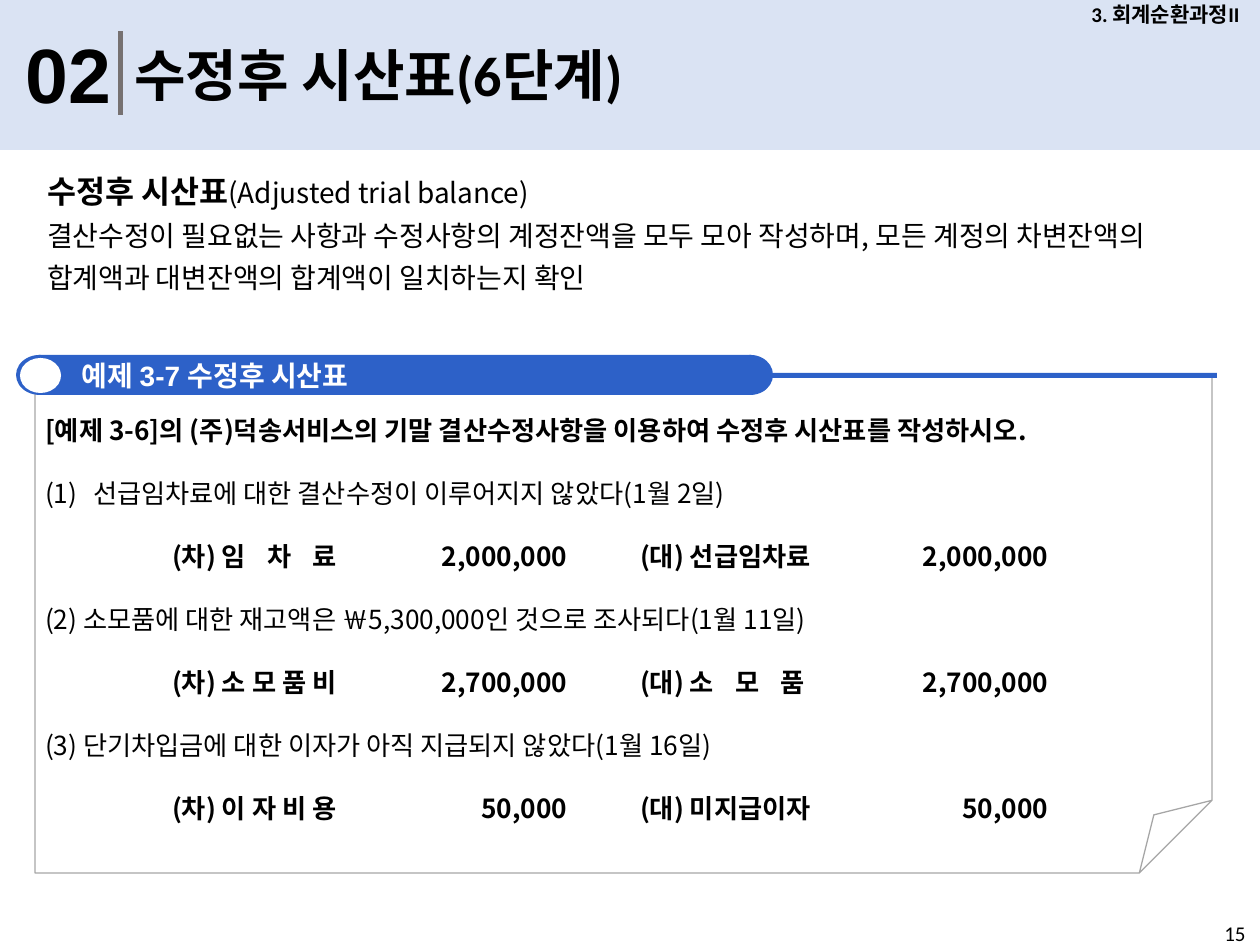
from lxml.etree import SubElement
from pptx import Presentation
from pptx.dml.color import RGBColor
from pptx.enum.shapes import MSO_SHAPE as Shape
from pptx.enum.text import MSO_ANCHOR as Anchor, PP_ALIGN as Align
from pptx.oxml.ns import qn
from pptx.util import Pt

SCALE = 914400 / 126
BLACK = RGBColor(0x00, 0x00, 0x00)
WHITE = RGBColor(0xFF, 0xFF, 0xFF)
PALE_BLUE = RGBColor(0xDA, 0xE3, 0xF3)
BLUE = RGBColor(0x2D, 0x61, 0xC8)
BAR_GRAY = RGBColor(0x76, 0x71, 0x71)
EDGE_GRAY = RGBColor(0xA6, 0xA6, 0xA6)
KOREAN = "Noto Sans CJK KR"


def emu(*lengths):
    return [round(length * SCALE) for length in lengths]


def add_span(para, text, size, name=KOREAN, bold=False, color=BLACK, spread=0):
    span = para.add_run()
    span.text = text
    for key, value in {"size": Pt(size), "name": name, "bold": bold}.items():
        setattr(span.font, key, value)
    span.font.color.rgb = color
    props = span.font._element
    SubElement(props, qn("a:ea"), typeface=KOREAN)
    if spread:
        props.set("spc", str(spread))


deck = Presentation()
deck.slide_width, deck.slide_height = emu(1260, 945)
page = deck.slides.add_slide(deck.slide_layouts[6])

# Header band, title bar, example banner: kind, place, fill
shapes = {}
for label, kind, place, fill in [
    ("header", Shape.RECTANGLE, (0, 0, 1260, 150), PALE_BLUE),
    ("title bar", Shape.RECTANGLE, (118, 31, 5, 84), BAR_GRAY),
    ("example", Shape.FOLDED_CORNER, (35, 375, 1177, 498), None),
    ("rule", Shape.RECTANGLE, (42, 373, 1175, 5), BLUE),
    ("left cap", Shape.OVAL, (16, 355, 47, 40), BLUE),
    ("right cap", Shape.OVAL, (728, 355, 45, 40), BLUE),
    ("banner", Shape.RECTANGLE, (39, 355, 712, 40), BLUE),
    ("dot", Shape.OVAL, (20, 358, 41, 35), WHITE),
]:
    shape = page.shapes.add_shape(kind, *emu(*place))
    shape.shadow.inherit = False
    shape.line.fill.background()
    if fill is None:
        shape.fill.background()
    else:
        shape.fill.solid()
        shape.fill.fore_color.rgb = fill
    shapes[label] = shape

# Header, definition and page number text: place, format, spans
definition = (
    "결산수정이 필요없는 사항과 수정사항의 계정잔액을 모두 모아 작성하며, "
    "모든 계정의 차변잔액의 합계액과 대변잔액의 합계액이 일치하는지 확인"
)
for place, frame_format, para_format, spans in [
    ((13, 20, 115, 106), {}, {}, [("02", 44, "Arial", True)]),
    ((122, 34, 809, 81), {}, {}, [("수정후 시산표(6단계)", 32, "Calibri", True)]),
    ((1071, 0, 189, 29), {"vertical_anchor": Anchor.MIDDLE},
     {"alignment": Align.CENTER}, [("3. 회계순환과정II", 12, "Calibri", True)]),
    ((1212, 914, 48, 31), {"word_wrap": False}, {}, [("15", 12, "Calibri")]),
    ((37, 205, 1176, 132), {"margin_left": emu(10)[0], "margin_top": emu(5)[0]},
     {"line_spacing": Pt(24)}, [(definition, 16)]),
    ((35, 166, 524, 50), {"word_wrap": False}, {},
     [("수정후 시산표", 18, KOREAN, True), ("(Adjusted trial balance)", 16)]),
]:
    frame = page.shapes.add_textbox(*emu(*place)).text_frame
    for key, value in {"word_wrap": True, **frame_format}.items():
        setattr(frame, key, value)
    para = frame.paragraphs[0]
    for key, value in para_format.items():
        setattr(para, key, value)
    for span in spans:
        add_span(para, *span)

# Banner text
frame = shapes["banner"].text_frame
frame.vertical_anchor = Anchor.MIDDLE
frame.margin_left, frame.margin_top, frame.margin_bottom = emu(43, 0, 0)
para = frame.paragraphs[0]
para.alignment = Align.LEFT
for text, name in [("예제 ", "Calibri"), ("3-7 ", "Arial"), ("수정후 시산표", "Calibri")]:
    add_span(para, text, 16, name, True, WHITE)

# Example sheet, with the size of its folded corner
sheet = shapes["example"]
guides = sheet._element.spPr.find(qn("a:prstGeom")).get_or_add_avLst()
SubElement(guides, qn("a:gd"), name="adj", fmla="val 14600")
sheet.line.color.rgb = EDGE_GRAY
sheet.line.width = Pt(0.75)
frame = sheet.text_frame
frame.vertical_anchor = Anchor.TOP
frame.margin_left, frame.margin_top, frame.margin_right = emu(10, 39, 10)

# Each line: layout, then (text, extra letter spacing) pairs
entry_tabs = [(127, "l"), (522, "r"), (595, "l"), (1003, "r")]
lines = [
    ("lead", [("[예제 3-6]의 (주)덕송서비스의 기말 결산수정사항을 이용하여 수정후 시산표를 작성하시오.", 0)]),
    ("numbered", [("선급임차료에 대한 결산수정이 이루어지지 않았다(1월 2일)", 0)]),
    ("entry", [("\t(차) ", 0), ("임 차 료", 440),
               ("\t2,000,000\t(대) 선급임차료\t2,000,000", 0)]),
    ("item", [("(2) 소모품에 대한 재고액은 ￦5,300,000인 것으로 조사되다(1월 11일)", 0)]),
    ("entry", [("\t(차) 소 모 품 비\t2,700,000\t(대) ", 0), ("소 모 품", 440),
               ("\t2,700,000", 0)]),
    ("item", [("(3) 단기차입금에 대한 이자가 아직 지급되지 않았다(1월 16일)", 0)]),
    ("entry", [("\t(차) 이 자 비 용\t50,000\t(대) 미지급이자\t50,000", 0)]),
]
for index, (layout, spans) in enumerate(lines):
    para = frame.add_paragraph() if index else frame.paragraphs[0]
    para.alignment = Align.LEFT
    para.line_spacing = Pt(18)
    para.space_before = Pt(18 if index else 0)
    props = para._p.get_or_add_pPr()
    if layout == "numbered":
        indent = emu(48)[0]
        props.set("marL", str(indent))
        props.set("indent", str(-indent))
        SubElement(props, qn("a:buFont"), typeface=KOREAN)
        SubElement(props, qn("a:buAutoNum"), type="arabicParenBoth")
    if layout == "entry":
        tabs = SubElement(props, qn("a:tabLst"))
        for position, side in entry_tabs:
            SubElement(tabs, qn("a:tab"), pos=str(emu(position)[0]), algn=side)
    for text, spread in spans:
        add_span(para, text, 15, bold=layout in ("lead", "entry"), spread=spread)

deck.save("out.pptx")
